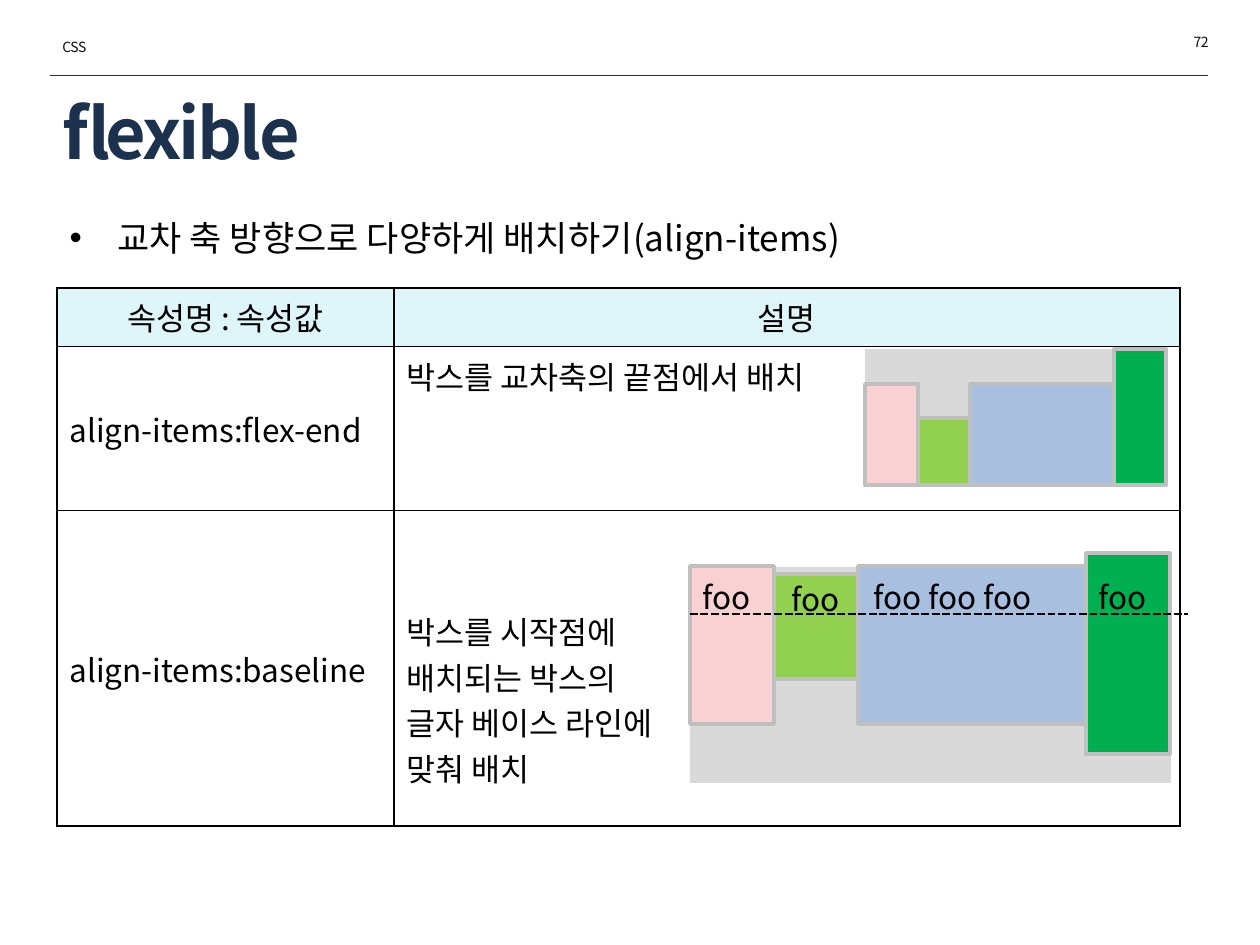
from lxml.etree import SubElement
from pptx import Presentation
from pptx.dml.color import RGBColor
from pptx.enum.dml import MSO_LINE
from pptx.enum.shapes import MSO_CONNECTOR, MSO_SHAPE
from pptx.enum.text import MSO_ANCHOR as Anchor, MSO_AUTO_SIZE as AutoSize, PP_ALIGN as Align
from pptx.oxml.ns import qn
from pptx.util import Emu, Pt

SCALE = 914400 / 126
FONT = "Noto Sans CJK KR"
COLORS = {
    "navy": "1C314E", "ink": "0D0D0D", "black": "000000", "header": "DEF5FA",
    "white": "FFFFFF", "container": "D9D9D9", "border": "BFBFBF",
    "pink": "F9D1D3", "lime": "92D050", "blue": "A8BFDF", "green": "00B050",
}


def px(value):
    return Emu(round(value * SCALE))


def color(name):
    return RGBColor.from_string(COLORS[name])


class SlideBuilder:
    def __init__(self, slide):
        self.slide = slide
        self.shapes = slide.shapes

    def place(self, shape, box):
        for name, value in zip(("left", "top", "width", "height"), box):
            setattr(shape, name, px(value))

    def fill_frame(self, frame, text, size=18, ink="black", align=Align.LEFT,
                   anchor=Anchor.TOP, bold=False, spacing=0):
        formats = {"word_wrap": True, "auto_size": AutoSize.NONE, "vertical_anchor": anchor}
        for name, value in formats.items():
            setattr(frame, name, value)
        self.fill_paragraph(frame.paragraphs[0], text, size, ink, align, bold, spacing)

    def fill_paragraph(self, paragraph, text, size, ink, align, bold=False, spacing=0):
        paragraph.text = text
        paragraph.alignment = align
        paragraph.space_before = Pt(0)
        for run in paragraph.runs:
            for name, value in {"name": FONT, "size": Pt(size), "bold": bold}.items():
                setattr(run.font, name, value)
            run.font.color.rgb = color(ink)
            properties = run._r.get_or_add_rPr()
            SubElement(properties, qn("a:ea")).set("typeface", FONT)
            if spacing:
                properties.set("spc", str(round(spacing * 100)))

    def title(self, text, box):
        shape = self.shapes.title
        self.place(shape, box)
        self.fill_frame(shape.text_frame, text, 40, "navy", anchor=Anchor.MIDDLE,
                        bold=True, spacing=-1.5)

    def bullet(self, text, box, indent):
        shape = self.slide.placeholders[1]
        self.place(shape, box)
        self.fill_frame(shape.text_frame, text, 20)
        properties = shape.text_frame.paragraphs[0]._p.get_or_add_pPr()
        properties.set("marL", str(px(indent)))
        properties.set("indent", str(-px(indent)))
        SubElement(properties, qn("a:buChar")).set("char", "•")

    def label(self, text, box, **formats):
        shape = self.shapes.add_textbox(*map(px, box))
        self.fill_frame(shape.text_frame, text, **formats)

    def box(self, box, fill, outlined=True, text=None):
        shape = self.shapes.add_shape(MSO_SHAPE.RECTANGLE, *map(px, box))
        shape.shadow.inherit = False
        shape.fill.solid()
        shape.fill.fore_color.rgb = color(fill)
        if outlined:
            shape.line.color.rgb = color("border")
            shape.line.width = Pt(2)
        else:
            shape.line.fill.background()
        if text:
            self.fill_frame(shape.text_frame, text, align=Align.CENTER)

    def line(self, left, right, y, ink, width, dash=None):
        line = self.shapes.add_connector(MSO_CONNECTOR.STRAIGHT, px(left), px(y), px(right), px(y))
        line.line.color.rgb = color(ink)
        line.line.width = Pt(width)
        if dash:
            line.line.dash_style = dash
        SubElement(line._element.spPr, qn("a:effectLst"))

    def border(self, cell):
        properties = cell._tc.get_or_add_tcPr()
        for index, side in enumerate(("lnL", "lnR", "lnT", "lnB")):
            edge = properties.makeelement(qn(f"a:{side}"), {"w": str(Pt(1))})
            fill = SubElement(edge, qn("a:solidFill"))
            SubElement(fill, qn("a:srgbClr")).set("val", COLORS["black"])
            properties.insert(index, edge)

    def table(self, rows, left, top, widths, heights):
        table = self.shapes.add_table(len(rows), len(widths), px(left), px(top),
                                      px(sum(widths)), px(sum(heights))).table
        for column, width in zip(table.columns, widths):
            column.width = px(width)
        for row, height in zip(table.rows, heights):
            row.height = px(height)
        for r, texts in enumerate(rows):
            for c, text in enumerate(texts):
                cell = table.cell(r, c)
                cell.fill.solid()
                cell.fill.fore_color.rgb = color("white" if r else "header")
                self.border(cell)
                self.fill_paragraph(cell.text_frame.paragraphs[0], text, 18, "black",
                                    Align.LEFT if r else Align.CENTER)
                if r and c == 0:
                    cell.vertical_anchor = Anchor.MIDDLE
        return table


def main():
    presentation = Presentation()
    presentation.slide_width, presentation.slide_height = px(1260), px(945)
    builder = SlideBuilder(presentation.slides.add_slide(presentation.slide_layouts[1]))

    # Header and heading
    builder.line(50, 1208, 75, "navy", 0.25)
    small = {"size": 8, "ink": "ink", "spacing": -0.3}
    builder.label("72", (1003, 27, 218, 30), align=Align.RIGHT, **small)
    builder.label("CSS", (50, 32, 218, 30), **small)
    builder.title("flexible", (50, 91, 1153, 81))
    builder.bullet("교차 축 방향으로 다양하게 배치하기(align-items)", (57, 210, 1145, 56), 48)

    # Property table
    table = builder.table([
        ("속성명 : 속성값", "설명"),
        ("align-items:flex-end", "박스를 교차축의 끝점에서 배치"),
        ("align-items:baseline",
         "박스를 시작점에\v배치되는 박스의\v글자 베이스 라인에\v맞춰 배치"),
    ], 57, 288, (337, 786), (50, 164, 316))
    table.cell(2, 1).margin_top = px(98)

    # flex-end: boxes share the bottom edge
    bottom = 485
    builder.box((865, 349, 302, 137), "container", outlined=False)
    for left, width, height, fill in ((865, 53, 101, "pink"), (918, 52, 67, "lime"),
                                      (970, 144, 101, "blue"), (1114, 52, 136, "green")):
        builder.box((left, bottom - height, width, height), fill)

    # baseline: boxes share the text baseline
    builder.box((690, 567, 481, 216), "container", outlined=False)
    for left, top, width, height, fill, text in (
            (690, 566, 84, 158, "pink", None), (774, 574, 84, 105, "lime", "foo"),
            (858, 566, 231, 158, "blue", None), (1086, 553, 84, 201, "green", None)):
        builder.box((left, top, width, height), fill, text=text)
    for left, width, text in ((690, 101, "foo"), (861, 223, "foo foo foo"), (1086, 101, "foo")):
        builder.label(text, (left, 572, width, 50))
    builder.line(690, 1188, 614, "black", 1.5, MSO_LINE.SQUARE_DOT)

    presentation.save("out.pptx")


if __name__ == "__main__":
    main()
